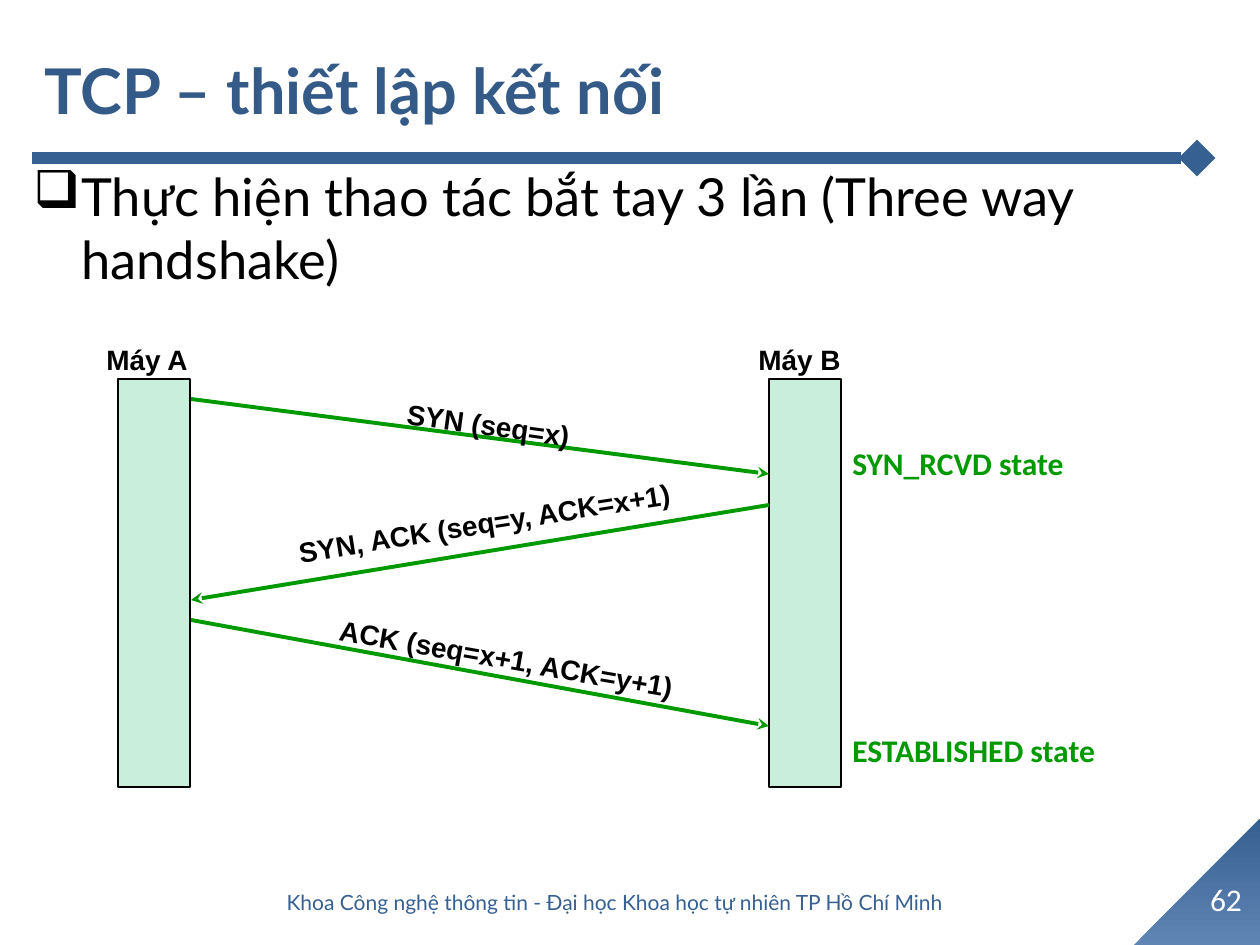
"""Build the slide on the TCP three way handshake."""
import pptx
import pptx.util
import pptx.dml.color
import pptx.enum.shapes
import pptx.enum.text
import pptx.oxml
import pptx.oxml.ns

RGB = pptx.dml.color.RGBColor
SHAPE = pptx.enum.shapes.MSO_SHAPE
ALIGN = pptx.enum.text.PP_ALIGN
ANCHOR = pptx.enum.text.MSO_ANCHOR

NAVY = RGB(0x37, 0x60, 0x92)
TITLE = RGB(0x34, 0x5A, 0x88)
PALE = RGB(0x5E, 0x85, 0xB3)
MINT = RGB(0xCA, 0xEE, 0xDC)
GREEN = RGB(0x00, 0x99, 0x00)
BLACK = RGB(0, 0, 0)
WHITE = RGB(255, 255, 255)

HEAD = ("TCP – thiết lập kết nối", (32, 10, 1206, 158))
BODY = ("Thực hiện thao tác bắt tay 3 lần (Three way handshake)", (21, 158, 1187, 714))
FOOT = ("Khoa Công nghệ thông tin - Đại học Khoa học tự nhiên TP Hồ Chí Minh", (158, 877, 914, 50))
PAGE = ("62", (1192, 874, 68, 50))
LEFT, RIGHT, TOP, WIDE, TALL = 118, 769, 379, 72, 408
HOSTS = [("Máy A", (94, 336, 108, 47)), ("Máy B", (746, 336, 111, 47))]
STEPS = [
    ("SYN (seq=x)", (394, 402, 195, 47), 8, True, 399, 474),
    ("SYN, ACK (seq=y, ACK=x+1)", (284, 498, 421, 47), -9, False, 505, 600),
    ("ACK (seq=x+1, ACK=y+1)", (325, 636, 370, 47), 10, True, 620, 726),
]
STATES = [("SYN_RCVD state", (840, 438, 280, 50)), ("ESTABLISHED state", (840, 725, 339, 50))]


def px(num):
    return pptx.util.Emu(round(num * 914400 / 126))


def write(slide, text, box, size, color, font="Lato", bold=False, wrap=True,
          align=ALIGN.LEFT, anchor=ANCHOR.TOP, turn=0):
    shape = slide.shapes.add_textbox(*map(px, box))
    shape.rotation = turn
    frame = shape.text_frame
    frame.text = text
    frame.word_wrap = wrap
    frame.vertical_anchor = anchor
    para = frame.paragraphs[0]
    para.alignment = align
    face = para.runs[0].font
    face.name, face.size, face.bold = font, pptx.util.Pt(size), bold
    face.color.rgb = color
    return para


def mark(para):
    props = para._p.get_or_add_pPr()
    props.set("marL", str(px(48)))
    props.set("indent", str(-px(48)))
    para.space_before = pptx.util.Pt(6)
    bullet = pptx.oxml.ns.qn("a:buChar")
    props.append(props.makeelement(bullet, {"char": "❑"}))


def draw(slide, start, end, color, width, tip):
    kind = pptx.enum.shapes.MSO_CONNECTOR.STRAIGHT
    line = slide.shapes.add_connector(kind, *map(px, start + end))
    line.line.color.rgb = color
    line.line.width = pptx.util.Pt(width)
    qn = pptx.oxml.ns.qn
    edge = line.line._get_or_add_ln()
    edge.append(edge.makeelement(qn("a:tailEnd"), {"type": tip}))
    props = line._element.spPr
    props.append(props.makeelement(qn("a:effectLst"), {}))


def corner(slide):
    shape = slide.shapes.add_shape(SHAPE.RIGHT_TRIANGLE, *map(px, (1134, 819, 126, 126)))
    shape.rotation = 270
    shape.shadow.inherit = False
    shape.line.fill.background()
    shape.fill.gradient()
    shape.fill.gradient_angle = 0
    for stop, color in zip(shape.fill.gradient_stops, (PALE, NAVY)):
        stop.color.rgb = color


def bar(slide, left):
    shape = slide.shapes.add_shape(SHAPE.RECTANGLE, *map(px, (left, TOP, WIDE, TALL)))
    shape.shadow.inherit = False
    shape.fill.solid()
    shape.fill.fore_color.rgb = MINT
    shape.line.color.rgb = BLACK
    shape.line.width = pptx.util.Pt(1)


def main():
    deck = pptx.Presentation()
    deck.slide_width, deck.slide_height = px(1260), px(945)
    slide = deck.slides.add_slide(deck.slide_layouts[6])

    corner(slide)
    draw(slide, (32, 158), (1197, 158), NAVY, 7, "diamond")
    write(slide, *HEAD, 36, TITLE, bold=True, anchor=ANCHOR.MIDDLE)
    mark(write(slide, *BODY, 30, BLACK))

    for left in (LEFT, RIGHT):
        bar(slide, left)
    for text, box, turn, onward, begin, end in STEPS:
        sides = (LEFT + WIDE + 1, RIGHT) if onward else (RIGHT, LEFT + WIDE + 1)
        draw(slide, (sides[0], begin), (sides[1], end), GREEN, 2.25, "stealth")
        write(slide, text, box, 16, BLACK, "Arial", True, wrap=False, turn=turn)
    for text, box in HOSTS:
        write(slide, text, box, 16, BLACK, "Arial", True, wrap=False)
    for text, box in STATES:
        write(slide, text, box, 18, GREEN, "Calibri", True)

    write(slide, *PAGE, 18, WHITE, "Calibri", align=ALIGN.CENTER, anchor=ANCHOR.MIDDLE)
    write(slide, *FOOT, 12, NAVY, align=ALIGN.CENTER, anchor=ANCHOR.MIDDLE)
    deck.save("out.pptx")


if __name__ == "__main__":
    main()
